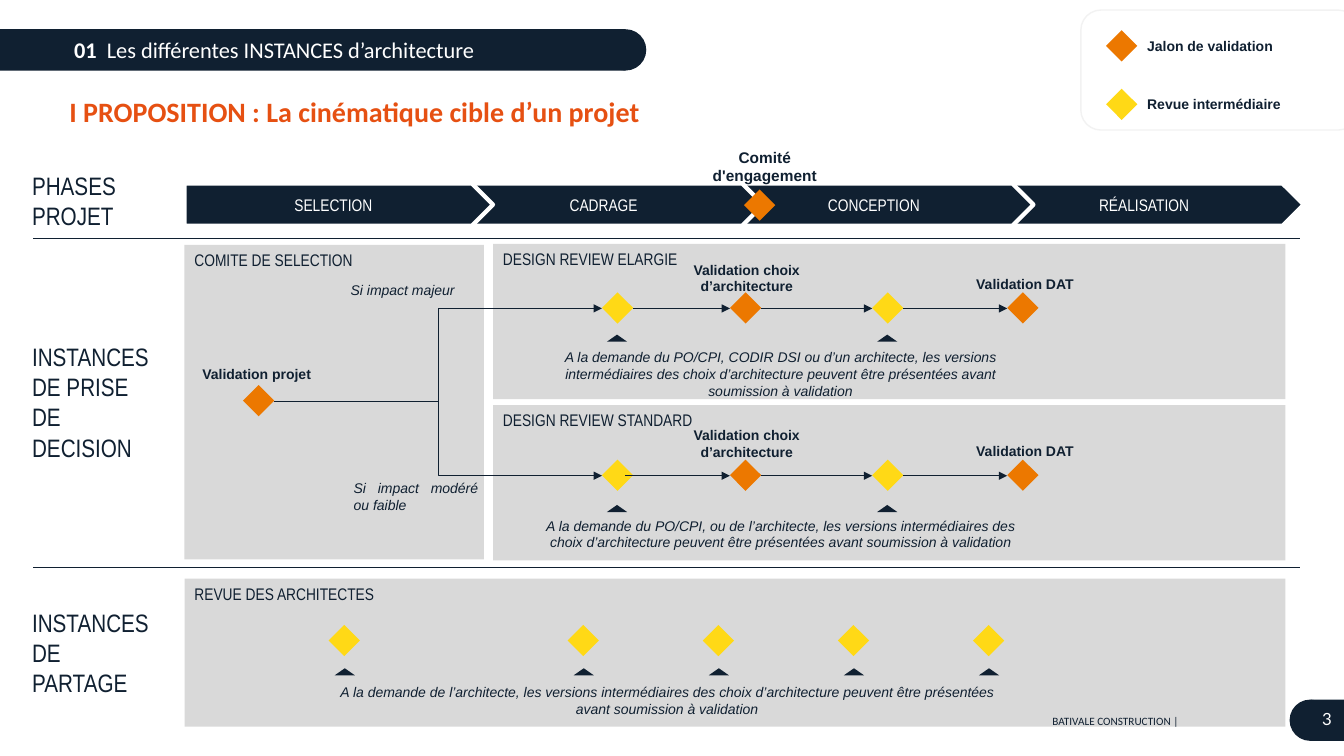
from dataclasses import dataclass

from lxml.etree import SubElement
from pptx import Presentation
from pptx.dml.color import RGBColor
from pptx.enum.shapes import MSO_CONNECTOR, MSO_SHAPE
from pptx.enum.text import MSO_ANCHOR, PP_ALIGN
from pptx.oxml.ns import qn
from pptx.shapes.autoshape import Shape
from pptx.util import Emu, Pt

PX = 9144  # EMU per px, 100 px to the inch


@dataclass(frozen=True)
class Theme:
    navy: str = "102031"
    orange: str = "EC7800"
    yellow: str = "FFD916"
    title: str = "E65012"
    panel: str = "D9D9D9"
    frame: str = "F2F2F2"
    white: str = "FFFFFF"
    tiny: int = 8
    small: int = 10
    gate: int = 11
    label: int = 12
    header: int = 16
    stage: int = 18
    heading: int = 20


@dataclass(frozen=True)
class Style:
    size: int
    font: str = "Arial"
    color: str = "102031"
    bold: bool = False
    italic: bool = False
    align: PP_ALIGN = PP_ALIGN.LEFT
    anchor: MSO_ANCHOR = MSO_ANCHOR.TOP
    inset: tuple[int, int] = (10, 5)
    spacing: float = 1.0


@dataclass(frozen=True)
class Box:
    left: int
    top: int
    width: int
    height: int


@dataclass(frozen=True)
class Review:
    name: str
    panel_top: int
    axis: int
    first_arrow: int
    choice_top: int
    cue_top: int
    note_top: int
    note: str


T = Theme()
MIDDLE, CENTER = MSO_ANCHOR.MIDDLE, PP_ALIGN.CENTER
CAPTION = Style(T.small, bold=True, align=CENTER)
LEGEND = Style(T.small, bold=True)
NOTE = Style(T.small, italic=True, align=CENTER)
CONDITION = Style(T.small, italic=True, align=PP_ALIGN.JUSTIFY)
PANEL = Style(T.label, "Arial Narrow")
PHASE = Style(T.label, "Arial Narrow", T.white, align=CENTER, anchor=MIDDLE)
STAGE = Style(T.stage, "Arial Narrow", anchor=MIDDLE)
HEADER = Style(T.header, "Calibri", T.white, anchor=MIDDLE, inset=(0, 0))
NUMBER = Style(T.header, "Calibri", T.white, bold=True, align=PP_ALIGN.RIGHT, anchor=MIDDLE, inset=(0, 0))
HEADING = Style(T.heading, "Calibri", T.title, bold=True, spacing=0.9)
FOOTER = Style(T.tiny, "Calibri", align=PP_ALIGN.RIGHT, anchor=MIDDLE)
PAGE = Style(T.label, "Lato", T.white, align=PP_ALIGN.RIGHT, anchor=MIDDLE, inset=(0, 5))

DIAMOND = 31
MILESTONES = ((597, T.yellow), (724, T.orange), (865, T.yellow), (999, T.orange))
REVIEWS = (
    Review("DESIGN REVIEW ELARGIE", 242, 306, 628, 254, 332, 341,
           "A la demande du PO/CPI, CODIR DSI ou d’un architecte, les versions intermédiaires "
           "des choix d’architecture peuvent être présentées avant soumission à validation"),
    Review("DESIGN REVIEW STANDARD", 402, 472, 620, 418, 501, 508,
           "A la demande du PO/CPI, ou de l’architecte, les versions intermédiaires "
           "des choix d’architecture peuvent être présentées avant soumission à validation"),
)

deck = Presentation()
deck.slide_width, deck.slide_height = Emu(1333 * PX), Emu(750 * PX)
slide = deck.slides.add_slide(deck.slide_layouts[6])


def emu(*lengths: int) -> list[Emu]:
    return [Emu(length * PX) for length in lengths]


def write(target: Shape, words: str, style: Style) -> None:
    frame = target.text_frame
    frame.word_wrap = True
    frame.vertical_anchor = style.anchor
    side, edge = emu(*style.inset)
    frame.margin_left = frame.margin_right = side
    frame.margin_top = frame.margin_bottom = edge
    paragraph = frame.paragraphs[0]
    paragraph.alignment = style.align
    paragraph.line_spacing = style.spacing
    run = paragraph.add_run()
    run.text = words
    run.font.name, run.font.size = style.font, Pt(style.size)
    run.font.bold, run.font.italic = style.bold, style.italic
    run.font.color.rgb = RGBColor.from_string(style.color)


def text(box: Box, words: str, style: Style) -> None:
    area = emu(box.left, box.top, box.width, box.height)
    write(slide.shapes.add_textbox(*area), words, style)


def shape(kind: MSO_SHAPE, box: Box, fill: str | None, line: str | None = None, weight: float = 1) -> Shape:
    drawn = slide.shapes.add_shape(kind, *emu(box.left, box.top, box.width, box.height))
    drawn.shadow.inherit = False
    if fill:
        drawn.fill.solid()
        drawn.fill.fore_color.rgb = RGBColor.from_string(fill)
    else:
        drawn.fill.background()
    if line:
        drawn.line.color.rgb = RGBColor.from_string(line)
        drawn.line.width = Pt(weight)
    else:
        drawn.line.fill.background()
    return drawn


def diamond(left: int, top: int, color: str) -> None:
    shape(MSO_SHAPE.DIAMOND, Box(left, top, DIAMOND, DIAMOND), color)


def cue(left: int, top: int) -> None:
    shape(MSO_SHAPE.ISOSCELES_TRIANGLE, Box(left, top, 20, 7), T.navy)


def panel(box: Box, name: str) -> None:
    write(shape(MSO_SHAPE.RECTANGLE, box, T.panel), name, PANEL)


def round_ended_bar(bar: Box, cap_left: int) -> None:
    shape(MSO_SHAPE.RECTANGLE, bar, T.navy)
    shape(MSO_SHAPE.OVAL, Box(cap_left, bar.top, bar.height, bar.height), T.navy)


def link(x1: int, y1: int, x2: int, y2: int, kind: MSO_CONNECTOR = MSO_CONNECTOR.STRAIGHT,
         arrow: bool = True) -> None:
    drawn = slide.shapes.add_connector(kind, *emu(x1, y1, x2, y2))
    drawn.line.color.rgb = RGBColor.from_string(T.navy)
    drawn.line.width = Pt(0.5)
    if arrow:
        SubElement(drawn.line._get_or_add_ln(), qn("a:tailEnd"), type="triangle")
    SubElement(drawn._element.spPr, qn("a:effectLst"))


# Header and heading
round_ended_bar(Box(0, 29, 620, 41), 600)
text(Box(59, 29, 37, 41), "01", NUMBER)
text(Box(106, 29, 520, 41), "Les différentes INSTANCES d’architecture", HEADER)
text(Box(59, 93, 1212, 40), "I PROPOSITION : La cinématique cible d’un projet", HEADING)

# Legend
shape(MSO_SHAPE.ROUNDED_RECTANGLE, Box(1072, 10, 275, 119), None, T.frame)
for top, color, meaning in ((30, T.orange, "Jalon de validation"), (88, T.yellow, "Revue intermédiaire")):
    diamond(1097, top, color)
    text(Box(1128, top + 2, 194, 25), meaning, LEGEND)

# Stage names and separators
for top, height, stage in ((180, 38, "PHASES PROJET"), (242, 313, "INSTANCES DE PRISE DE DECISION"),
                           (574, 147, "INSTANCES DE PARTAGE")):
    text(Box(22, top, 137, height), stage, STAGE)
for y in (236, 563):
    link(33, y, 1289, y, arrow=False)

# Project phases, the last one at the back
PHASES = ("SELECTION", "CADRAGE", "CONCEPTION", "RÉALISATION")
for step, phase in reversed(list(enumerate(PHASES))):
    box = Box(183 + 268 * step, 182, 306, 42)
    write(shape(MSO_SHAPE.PENTAGON, box, T.navy, T.white, 3), phase, PHASE)
diamond(738, 188, T.orange)
text(Box(689, 142, 139, 38), "Comité d'engagement", Style(T.gate, bold=True, align=CENTER))

# Selection committee
panel(Box(183, 243, 297, 312), "COMITE DE SELECTION")
diamond(241, 382, T.orange)
text(Box(185, 358, 139, 24), "Validation projet", CAPTION)
text(Box(338, 274, 143, 26), "Si impact majeur", CONDITION)
text(Box(341, 471, 143, 49), "Si impact modéré ou faible", CONDITION)

# Design reviews
for review in REVIEWS:
    panel(Box(489, review.panel_top, 786, 154), review.name)
    for left, color in MILESTONES:
        diamond(left, review.axis - 16, color)
        if color == T.yellow:
            cue(left + 5, review.cue_top)
    lefts = [left for left, _ in MILESTONES]
    starts = [review.first_arrow] + [left + DIAMOND for left in lefts[1:-1]]
    for start, end in zip(starts, lefts[1:]):
        link(start, review.axis, end, review.axis)
    link(272, 398, lefts[0], review.axis, MSO_CONNECTOR.ELBOW)
    text(Box(671, review.choice_top, 139, 38), "Validation choix d’architecture", CAPTION)
    text(Box(947, review.axis - 38, 139, 24), "Validation DAT", CAPTION)
    text(Box(518, review.note_top, 512, 41), review.note, NOTE)

# Architects' review
panel(Box(183, 574, 1092, 147), "REVUE DES ARCHITECTES")
for left in (326, *range(563, 966, 134)):
    diamond(left, 620, T.yellow)
    cue(left + 6, 663)
text(Box(316, 673, 691, 41),
     "A la demande de l’architecte, les versions intermédiaires des choix d’architecture "
     "peuvent être présentées avant soumission à validation", NOTE)

# Footer and page number
round_ended_bar(Box(1300, 694, 33, 41), 1279)
text(Box(1260, 698, 61, 30), "3", PAGE)
text(Box(906, 703, 273, 24), "BATIVALE CONSTRUCTION |", FOOTER)

deck.save("out.pptx")
